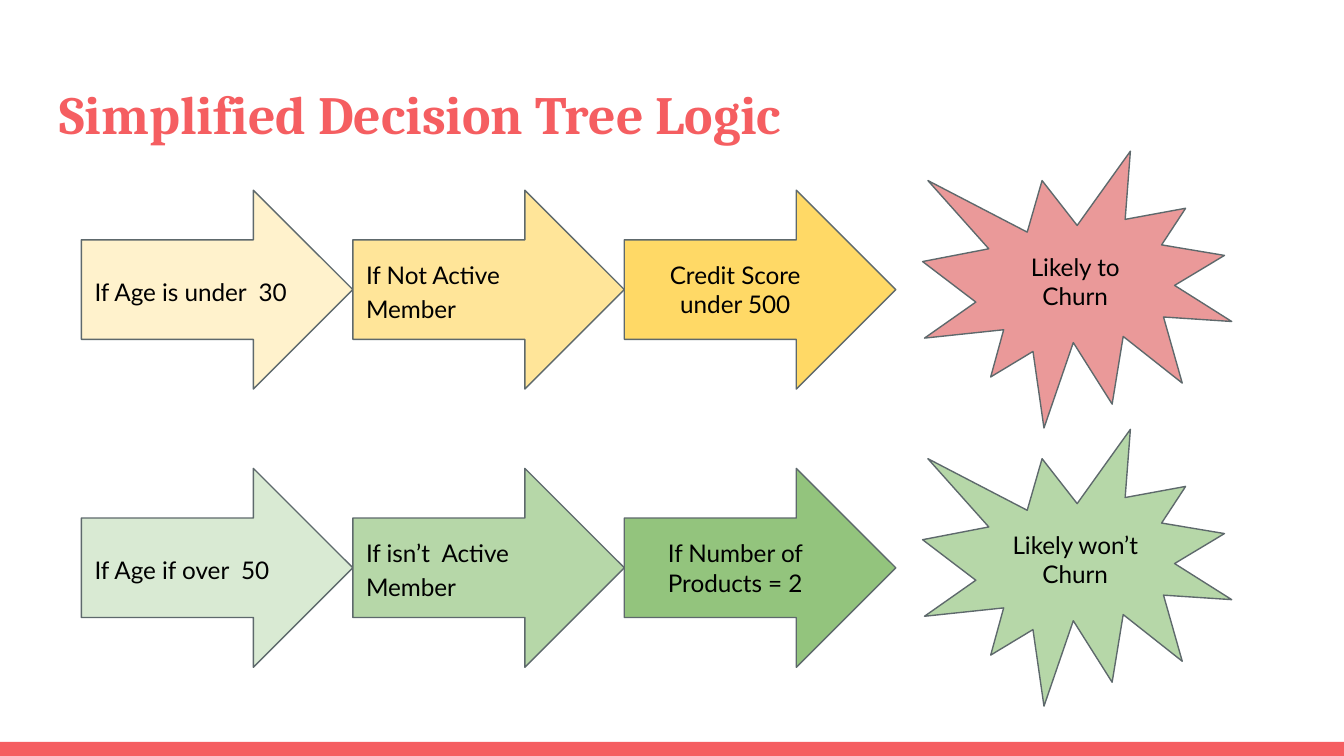
from dataclasses import dataclass

from pptx import Presentation
from pptx import util as u
from pptx.dml.color import RGBColor
from pptx.enum import shapes, text

PX = 4572
ARROW = shapes.MSO_SHAPE.RIGHT_ARROW
BURST = shapes.MSO_SHAPE.EXPLOSION1
LEFT = text.PP_ALIGN.LEFT
MID = text.PP_ALIGN.CENTER


@dataclass(frozen=True)
class Theme:
    red: str = "F55E61"
    line: str = "5E696C"
    ink: str = "000000"
    warm: tuple = ("FFF2CC", "FFE599", "FFD966", "EA9999")
    cool: tuple = ("D9EAD3", "B6D7A8", "93C47D", "B6D7A8")
    head: str = "Cambria"
    body: str = "Lato"
    big: float = 28.8
    small: float = 13


@dataclass(frozen=True)
class Branch:
    top: int
    fills: tuple
    steps: tuple
    end: str


THEME = Theme()
TREE = (
    Branch(283, THEME.warm,
           ("If Age is under  30", "If Not Active Member", "Credit Score under 500"),
           "Likely to Churn"),
    Branch(697, THEME.cool,
           ("If Age if over  50", "If isn’t  Active Member", "If Number of Products = 2"),
           "Likely won’t Churn"),
)


def write(shape, words: str, *, font: str = THEME.body, size: float = THEME.small,
          color: str = THEME.ink, bold: bool = False, align=MID, lead: float = 1.0,
          anchor=text.MSO_ANCHOR.MIDDLE) -> None:
    frame = shape.text_frame
    frame.word_wrap = True
    frame.vertical_anchor = anchor
    frame.margin_left = frame.margin_right = 20 * PX
    frame.margin_top = frame.margin_bottom = 20 * PX
    para = frame.paragraphs[0]
    para.alignment = align
    para.line_spacing = lead
    run = para.add_run()
    run.text = words
    run.font.name = font
    run.font.size = u.Pt(size)
    run.font.bold = bold
    run.font.color.rgb = RGBColor.from_string(color)


def draw(slide, kind, box: tuple[int, int, int, int], fill: str, line: str = ""):
    shape = slide.shapes.add_shape(kind, *(n * PX for n in box))
    shape.shadow.inherit = False
    shape.fill.solid()
    shape.fill.fore_color.rgb = RGBColor.from_string(fill)
    if line:
        shape.line.color.rgb = RGBColor.from_string(line)
        shape.line.width = u.Pt(0.75)
    else:
        shape.line.fill.background()
    return shape


def trace(slide, branch: Branch) -> None:
    wide = 404
    for i, words in enumerate(branch.steps):
        box = (121 + i * wide, branch.top, wide, 296)
        step = draw(slide, ARROW, box, branch.fills[i], THEME.line)
        last = i == len(branch.steps) - 1
        write(step, words, align=MID if last else LEFT, lead=1.0 if last else 1.15)
    box = (1373, branch.top - 58, 460, 412)
    burst = draw(slide, BURST, box, branch.fills[-1], THEME.line)
    write(burst, branch.end)


def main() -> None:
    deck = Presentation()
    deck.slide_width, deck.slide_height = 2000 * PX, 1125 * PX
    slide = deck.slides.add_slide(deck.slide_layouts[6])
    draw(slide, shapes.MSO_SHAPE.RECTANGLE, (0, 1104, 2000, 21), THEME.red)
    title = slide.shapes.add_textbox(*(n * PX for n in (69, 86, 1864, 136)))
    write(title, "Simplified Decision Tree Logic", font=THEME.head, size=THEME.big,
          color=THEME.red, bold=True, align=LEFT, lead=1.15, anchor=text.MSO_ANCHOR.TOP)
    for branch in TREE:
        trace(slide, branch)
    deck.save("out.pptx")


if __name__ == "__main__":
    main()
